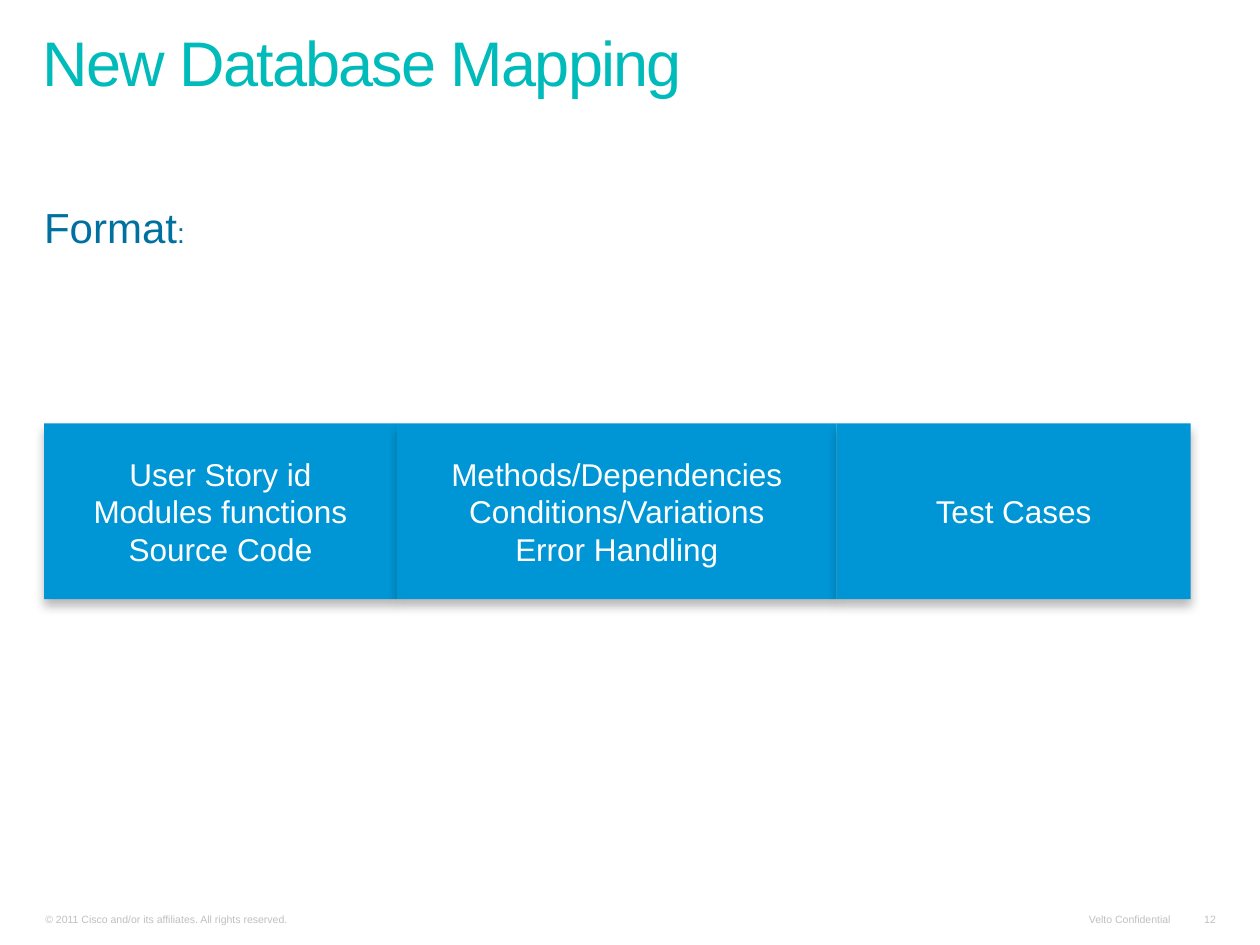
import pptx
import pptx.dml.color
import pptx.enum.shapes
import pptx.enum.text
import pptx.oxml
import pptx.oxml.ns
import pptx.util

RGBColor = pptx.dml.color.RGBColor
ALIGN = pptx.enum.text.PP_ALIGN
ANCHOR = pptx.enum.text.MSO_ANCHOR

TEAL = RGBColor(0x01, 0xBB, 0xBB)
NAVY = RGBColor(0x00, 0x70, 0xA0)
BLUE = RGBColor(0x00, 0x96, 0xD6)
GREY = RGBColor(0xC0, 0xC0, 0xC0)
WHITE = RGBColor(0xFF, 0xFF, 0xFF)

SHADOW = (
    f'<a:outerShdw {pptx.oxml.ns.nsdecls("a")} blurRad="76200" dist="50800" '
    'dir="5400000" algn="ctr" rotWithShape="0"><a:srgbClr val="000000">'
    '<a:alpha val="27000"/></a:srgbClr></a:outerShdw>'
)

prs = pptx.Presentation()
prs.slide_width = pptx.util.Inches(10)
prs.slide_height = pptx.util.Inches(7.5)
s = prs.slides.add_slide(prs.slide_layouts[6])


def grid(x, y, w, h):
    """Turn places on a grid of 100 columns and 100 rows into lengths."""
    col, row = prs.slide_width / 100, prs.slide_height / 100
    return int(x * col), int(y * row), int(w * col), int(h * row)


def write(sp, *lines, size=18, color=WHITE, align=ALIGN.LEFT, anchor=ANCHOR.TOP,
          wrap=True, pad=0.05, leading=None, tracking=None):
    """Fill a shape; each line is a list of (text, size) pairs or a string."""
    tf = sp.text_frame
    tf.word_wrap = wrap
    tf.vertical_anchor = anchor
    tf.margin_left = tf.margin_right = pptx.util.Inches(0.09)
    tf.margin_top = tf.margin_bottom = pptx.util.Inches(pad)
    for i, line in enumerate(lines):
        p = tf.add_paragraph() if i else tf.paragraphs[0]
        p.alignment = align
        if leading:
            p.line_spacing = leading
        for text, pt in [(line, size)] if isinstance(line, str) else line:
            r = p.add_run()
            r.text = text
            r.font.name = "Arial"
            r.font.size = pptx.util.Pt(pt)
            r.font.color.rgb = color
            if tracking:
                r.font._element.set("spc", str(tracking * 100))


# Footer
for x, w, text, align, wrap in [
    (2.7, 37.4, "© 2011 Cisco and/or its affiliates. All rights reserved.", ALIGN.LEFT, True),
    (84.9, 8.9, "Velto Confidential", ALIGN.RIGHT, False),
    (94.6, 2.8, "12", ALIGN.RIGHT, False),
]:
    sp = s.shapes.add_textbox(*grid(x, 96, w, 2.5))
    write(sp, text, size=6, color=GREY, align=align, anchor=ANCHOR.BOTTOM, wrap=wrap, pad=0.04)

# Title
sp = s.shapes.add_textbox(*grid(2.5, 3.33, 93.9, 12.27))
write(sp, "New Database Mapping", size=36, color=TEAL, leading=0.8, tracking=-1)

# Body
sp = s.shapes.add_textbox(*grid(2.6, 21.07, 93.8, 66))
write(sp, [("Format", 24), (":", 16)], color=NAVY, leading=0.95)

# Mapping blocks, side by side
x = 3.5
for w, lines in [
    (28, ["User Story id", "Modules functions", "Source Code"]),
    (34.9, ["Methods/Dependencies", "Conditions/Variations", "Error Handling"]),
    (28.1, ["Test Cases"]),
]:
    sp = s.shapes.add_shape(pptx.enum.shapes.MSO_SHAPE.RECTANGLE, *grid(x, 44.8, w, 18.6))
    sp.fill.solid()
    sp.fill.fore_color.rgb = BLUE
    sp.line.fill.background()
    sp.shadow.inherit = False
    effects = sp._element.spPr.find(pptx.oxml.ns.qn("a:effectLst"))
    effects.append(pptx.oxml.parse_xml(SHADOW))
    write(sp, *lines, align=ALIGN.CENTER, anchor=ANCHOR.MIDDLE)
    x += w

prs.save("out.pptx")
